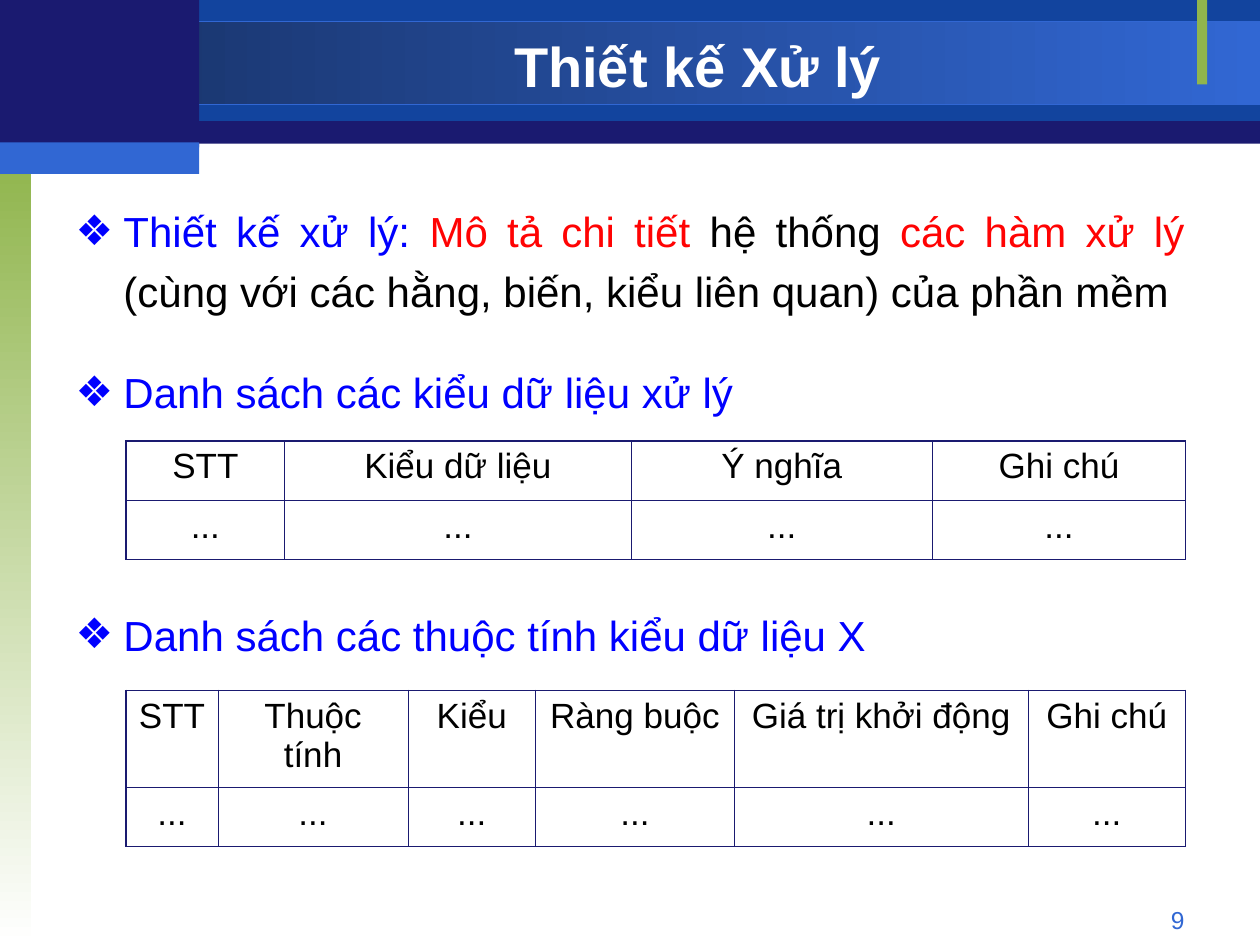
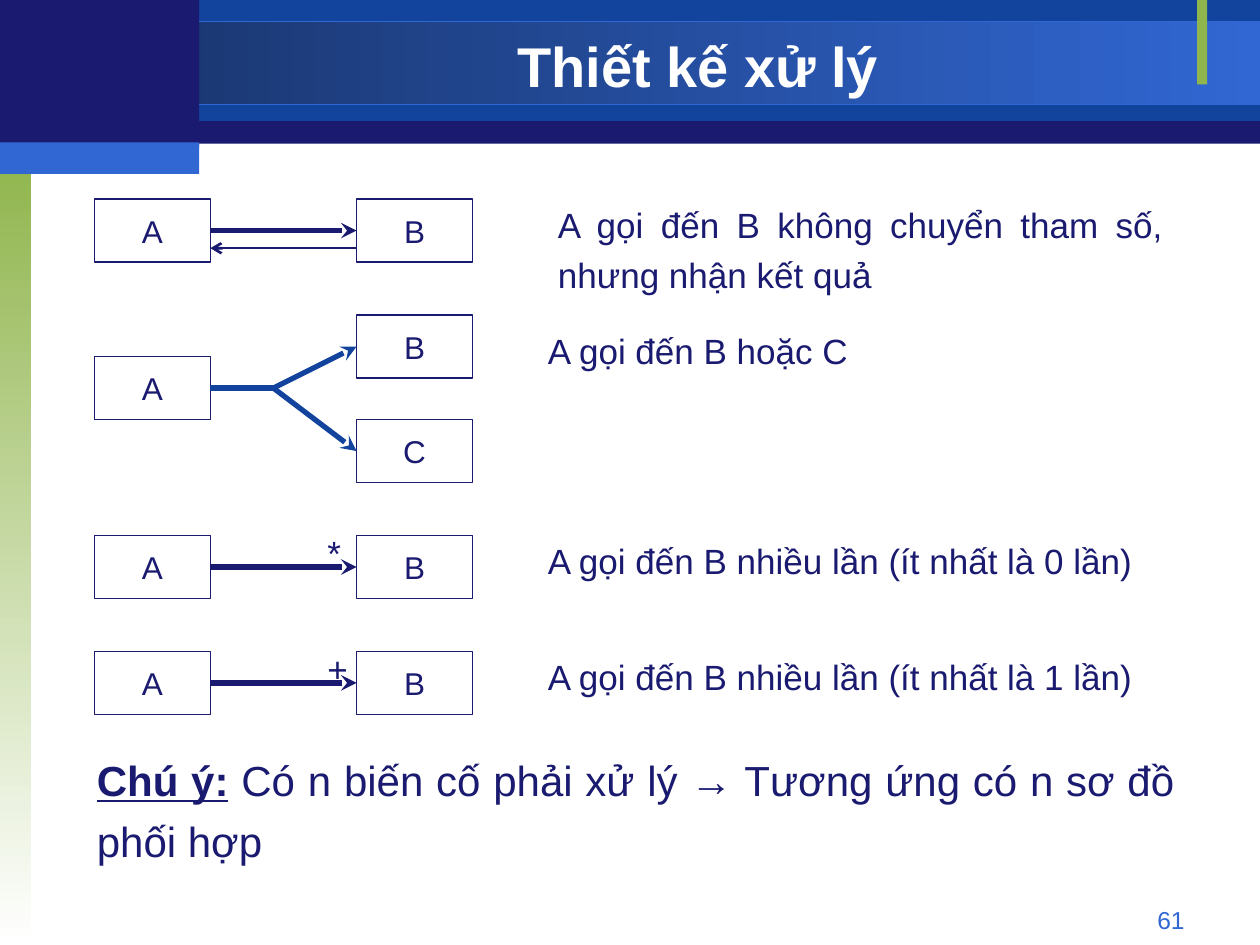
import pptx
import pptx.dml.color
import pptx.enum.shapes
import pptx.enum.text
import pptx.oxml
import pptx.oxml.ns
import pptx.util

Inches = pptx.util.Inches
Pt = pptx.util.Pt
ALIGN = pptx.enum.text.PP_ALIGN
ANCHOR = pptx.enum.text.MSO_ANCHOR
RECTANGLE = pptx.enum.shapes.MSO_SHAPE.RECTANGLE
STRAIGHT = pptx.enum.shapes.MSO_CONNECTOR.STRAIGHT

FONT = "Arial"
NAVY = "1A1A70"
BLUE = "12449E"
BRIGHT = "3167D3"
DEEP = "173062"
GREEN = "90B54D"
WHITE = "FFFFFF"
BLACK = "000000"
RED = "FF0303"
LIST_BLUE = "0000FF"

# Left, top, width, height and fill; a pair of fills runs as a gradient
BANDS = [
    (0, 0.01, 10, 1.13, NAVY),
    (1.58, 0, 8.42, 0.96, BLUE),
    (0, 0.17, 10, 0.66, (DEEP, BRIGHT)),
    (0, 1.25, 0.25, 6.25, (GREEN, WHITE)),
    (9.5, 0, 0.08, 0.67, GREEN),
    (0, 0, 1.58, 1.17, NAVY),
    (0, 1.13, 1.58, 0.25, BRIGHT),
]

# Call diagrams: box size, the columns of boxes and the fork
BOX_WIDTH, BOX_HEIGHT = 0.92, 0.5
CALLER_LEFT, CALLED_LEFT = 0.75, 2.83
CALLER_RIGHT = CALLER_LEFT + BOX_WIDTH
FORK_X, FORK_Y = 2.17, 3.08


def color(hex_string):
    return pptx.dml.color.RGBColor.from_string(hex_string)


def xml(tag, attributes="", content=""):
    namespace = pptx.oxml.ns.nsdecls("a")
    return pptx.oxml.parse_xml(f"<a:{tag} {namespace} {attributes}>{content}</a:{tag}>")


def place(shape, left, top, width, height):
    shape.left, shape.top = Inches(left), Inches(top)
    shape.width, shape.height = Inches(width), Inches(height)


def add_run(paragraph, text, size, hex_color, bold=False, underline=False):
    run = paragraph.add_run()
    run.text = text
    font = run.font
    font.name, font.size = FONT, Pt(size)
    font.bold, font.underline = bold, underline
    font.color.rgb = color(hex_color)


def add_text(slide, left, top, width, height, runs, align=ALIGN.JUSTIFY, spacing=1.2):
    """Each run is a tuple of add_run arguments."""
    box = slide.shapes.add_textbox(
        Inches(left), Inches(top), Inches(width), Inches(height))
    box.text_frame.word_wrap = True
    paragraph = box.text_frame.paragraphs[0]
    paragraph.alignment, paragraph.line_spacing = align, spacing
    for run in runs:
        add_run(paragraph, *run)


def add_band(slide, left, top, width, height, fill):
    band = slide.shapes.add_shape(
        RECTANGLE, Inches(left), Inches(top), Inches(width), Inches(height))
    band.shadow.inherit = False
    band.line.fill.background()
    if isinstance(fill, str):
        band.fill.solid()
        band.fill.fore_color.rgb = color(fill)
        return band
    band.fill.gradient()
    band.fill.gradient_angle = 0 if width > height else 270
    for stop, hex_color in zip(band.fill.gradient_stops, fill):
        stop.color.rgb = color(hex_color)
    if width > height:
        band.line.color.rgb = color(BRIGHT)
        band.line.width = Pt(0.75)
    return band


def add_master_bands(presentation, slide):
    """Draw the bands, then hand them to the master that all slides share."""
    tree = presentation.slide_master.shapes.element
    for index, band_values in enumerate(BANDS):
        element = add_band(slide, *band_values).element
        element.nvSpPr.cNvPr.id = 20 + index
        tree.insert(2 + index, element)


def add_slide(presentation, layout_index, title, number):
    slide = presentation.slides.add_slide(presentation.slide_layouts[layout_index])
    place(slide.shapes.title, 1.58, 0.23, 7.92, 0.58)
    frame = slide.shapes.title.text_frame
    frame.auto_size = pptx.enum.text.MSO_AUTO_SIZE.NONE
    frame.vertical_anchor = ANCHOR.MIDDLE
    frame.paragraphs[0].alignment = ALIGN.CENTER
    add_run(frame.paragraphs[0], title, 32, WHITE, True)
    add_text(slide, 7.17, 7.13, 2.33, 0.27, [(number, 14, BRIGHT)], ALIGN.RIGHT, 1)
    return slide


def fill_list(placeholder, items):
    """Each item is the space before it and its (text, colour) runs."""
    place(placeholder, 0.5, 1.5, 9, 5.5)
    frame = placeholder.text_frame
    frame.auto_size = pptx.enum.text.MSO_AUTO_SIZE.NONE
    for index, (space_before, runs) in enumerate(items):
        paragraph = frame.add_paragraph() if index else frame.paragraphs[0]
        properties = paragraph._p.get_or_add_pPr()
        properties.set("marL", str(Inches(0.38)))
        properties.set("indent", str(-Inches(0.38)))
        properties.append(xml("buClr", content=f'<a:srgbClr val="{LIST_BLUE}"/>'))
        properties.append(xml("buChar", 'char="❖"'))
        paragraph.alignment = ALIGN.JUSTIFY
        paragraph.line_spacing = 1.2
        paragraph.space_before = Pt(space_before)
        for text, hex_color in runs:
            add_run(paragraph, text, 24, hex_color)


def set_borders(cell, outer_sides):
    properties = cell._tc.get_or_add_tcPr()
    for index, side in enumerate("LRTB"):
        width = Pt(1.08 if side in outer_sides else 0.45)
        line_fill = f'<a:solidFill><a:srgbClr val="{NAVY}"/></a:solidFill>'
        properties.insert(index, xml(f"ln{side}", f'w="{width}"', line_fill))


def add_form_table(slide, top, columns):
    """A header row and one row of dots; columns are (heading, width)."""
    total = sum(width for _, width in columns)
    table = slide.shapes.add_table(
        2, len(columns), Inches(1), Inches(top), Inches(total), Inches(0.94)).table
    table.first_row = table.horz_banding = False
    for row in table.rows:
        row.height = Inches(0.47)
    for index, (heading, width) in enumerate(columns):
        table.columns[index].width = Inches(width)
        sides = "L" * (index == 0) + "R" * (index == len(columns) - 1)
        for row_index, text in enumerate((heading, "...")):
            cell = table.cell(row_index, index)
            cell.fill.background()
            set_borders(cell, sides + "TB"[row_index])
            paragraph = cell.text_frame.paragraphs[0]
            paragraph.alignment = ALIGN.CENTER
            add_run(paragraph, text, 20, BLACK)


def add_box(slide, letter, left, top):
    box = slide.shapes.add_shape(
        RECTANGLE, Inches(left), Inches(top), Inches(BOX_WIDTH), Inches(BOX_HEIGHT))
    box.shadow.inherit = False
    box.fill.background()
    box.line.color.rgb = color(NAVY)
    box.line.width = Pt(0.75)
    frame = box.text_frame
    frame.word_wrap = False
    frame.vertical_anchor = ANCHOR.MIDDLE
    frame.paragraphs[0].alignment = ALIGN.CENTER
    add_run(frame.paragraphs[0], letter, 18, NAVY)
    return box


def add_line(slide, start, end, hex_color=NAVY, width=3, head="stealth"):
    """Each end is an (x, y) point, or a box: right side at start, left at end."""
    begin_point = start if isinstance(start, tuple) else (0, 0)
    end_point = end if isinstance(end, tuple) else (0, 0)
    line = slide.shapes.add_connector(
        STRAIGHT, *(Inches(value) for value in begin_point + end_point))
    if start is not begin_point:
        line.begin_connect(start, 3)
    if end is not end_point:
        line.end_connect(end, 1)
    line.line.color.rgb = color(hex_color)
    line.line.width = Pt(width)
    if head:
        line.get_or_add_ln().append(xml("tailEnd", f'type="{head}"'))
    line.element.spPr.append(xml("effectLst"))


def add_call(slide, top):
    caller = add_box(slide, "A", CALLER_LEFT, top)
    called = add_box(slide, "B", CALLED_LEFT, top)
    add_line(slide, caller, called)


def add_caption(slide, left, top, width, text):
    add_text(slide, left, top, width, 0.5, [(text, 20, NAVY)])


def build_data_slide(presentation):
    slide = add_slide(presentation, 1, "Thiết kế Xử lý", "9")
    add_master_bands(presentation, slide)
    fill_list(slide.placeholders[1], [
        (0, [("Thiết kế xử lý: ", LIST_BLUE),
             ("Mô tả chi tiết", RED),
             (" hệ thống ", BLACK),
             ("các hàm xử lý", RED),
             (" (cùng với các hằng, biến, kiểu liên quan) của phần mềm", BLACK)]),
        (23, [("Danh sách các kiểu dữ liệu xử lý", LIST_BLUE)]),
        (104, [("Danh sách các thuộc tính kiểu dữ liệu X", LIST_BLUE)]),
    ])
    add_form_table(slide, 3.5, [
        ("STT", 1.26), ("Kiểu dữ liệu", 2.75), ("Ý nghĩa", 2.39), ("Ghi chú", 2.01)])
    add_form_table(slide, 5.48, [
        ("STT", 0.73), ("Thuộc tính", 1.51), ("Kiểu", 1.01),
        ("Ràng buộc", 1.58), ("Giá trị khởi động", 2.33), ("Ghi chú", 1.25)])


def build_call_slide(presentation):
    slide = add_slide(presentation, 5, "Thiết kế xử lý", "61")

    # Call that returns a result
    add_call(slide, 1.58)
    add_line(slide, (CALLED_LEFT, 1.97), (CALLER_RIGHT, 1.97), width=1.5, head="arrow")
    add_caption(slide, 4.33, 1.5, 5,
                "A gọi đến B không chuyển tham số, nhưng nhận kết quả")

    # Call to one of two
    caller = add_box(slide, "A", CALLER_LEFT, 2.83)
    fork = (FORK_X, FORK_Y)
    add_line(slide, caller, fork, BLUE, head=None)
    for letter, top in (("B", 2.5), ("C", 3.33)):
        add_line(slide, fork, add_box(slide, letter, CALLED_LEFT, top), BLUE)
    add_caption(slide, 4.25, 2.5, 4.25, "A gọi đến B hoặc C")

    # Repeated calls
    for mark, least, top in (("*", 0, 4.25), ("+", 1, 5.17)):
        add_call(slide, top)
        add_caption(slide, 4.25, top - 0.08, 5.17,
                    f"A gọi đến B nhiều lần (ít nhất là {least} lần)")
        add_text(slide, 2.5, top - 0.08, 0.33, 0.44, [(mark, 20, NAVY)], ALIGN.LEFT, 1)

    # Closing remark
    add_text(slide, 0.67, 5.86, 8.75, 1.06, [
        ("Chú ý:", 24, NAVY, True, True),
        (" Có n biến cố phải xử lý → Tương ứng có n sơ đồ phối hợp", 24, NAVY)])


def main():
    presentation = pptx.Presentation()
    presentation.slide_width = Inches(10)
    presentation.slide_height = Inches(7.5)
    build_data_slide(presentation)
    build_call_slide(presentation)
    presentation.save("out.pptx")


if __name__ == "__main__":
    main()
